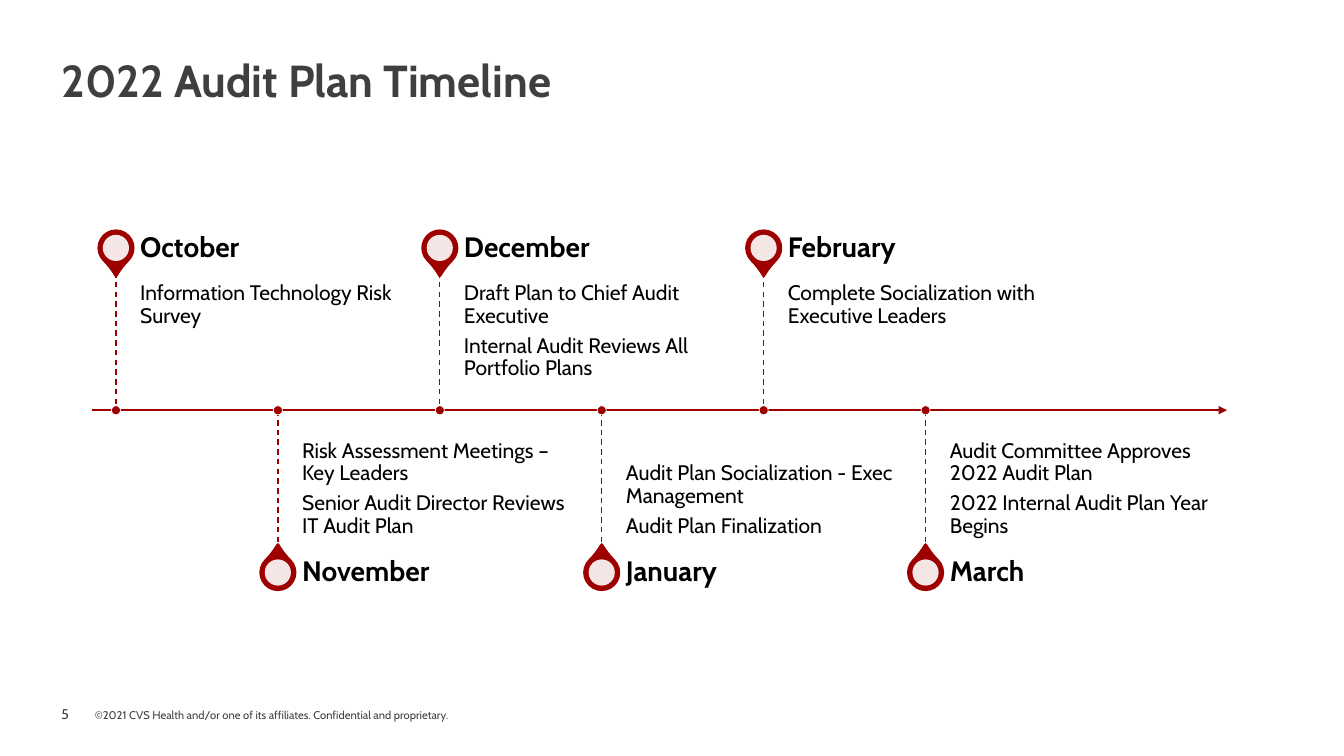
from dataclasses import dataclass

from lxml.etree import SubElement
from pptx import Presentation
from pptx.dml.color import RGBColor
from pptx.enum.dml import MSO_LINE
from pptx.enum.shapes import MSO_CONNECTOR, MSO_SHAPE
from pptx.enum.text import MSO_ANCHOR, MSO_AUTO_SIZE, PP_ALIGN
from pptx.oxml.ns import qn
from pptx.util import Inches, Pt

FONT = "Cabin"
RED, WHITE, BLACK, GREY = "9E0000", "FFFFFF", "000000", "3F3F3F"
AXIS_Y = 4.07
FIRST_X, LAST_X = 1.15, 9.18
PIN_OFFSET, STEM = 1.61, 1.37
BODY_W, HEAD_H = 2.68, 0.48


@dataclass
class Milestone:
    month: str
    steps: list[str]


MILESTONES = [
    Milestone("October", ["Information Technology Risk Survey"]),
    Milestone("November", ["Risk Assessment Meetings – Key Leaders",
                           "Senior Audit Director Reviews IT Audit Plan"]),
    Milestone("December", ["Draft Plan to Chief Audit Executive",
                           "Internal Audit Reviews All Portfolio Plans"]),
    Milestone("January", ["Audit Plan Socialization - Exec Management",
                          "Audit Plan Finalization"]),
    Milestone("February", ["Complete Socialization with Executive Leaders"]),
    Milestone("March", ["Audit Committee Approves 2022 Audit Plan",
                        "2022 Internal Audit Plan Year Begins"]),
]


def rgb(color: str) -> RGBColor:
    return RGBColor.from_string(color)


def fill_text(tf, lines: list[str], size: float, color: str, bold: bool = False,
              anchor=MSO_ANCHOR.TOP, insets=(0, 0, 0, 0),
              spacing: float = 1.0, after: float = 0) -> None:
    tf.word_wrap = True
    tf.auto_size = MSO_AUTO_SIZE.NONE
    tf.vertical_anchor = anchor
    tf.margin_left, tf.margin_top, tf.margin_right, tf.margin_bottom = map(Inches, insets)
    for i, line in enumerate(lines):
        p = tf.paragraphs[0] if i == 0 else tf.add_paragraph()
        p.text = line
        p.alignment = PP_ALIGN.LEFT
        p.line_spacing = spacing
        p.space_after = Pt(after)
        p.font.name = FONT
        p.font.size = Pt(size)
        p.font.bold = bold
        p.font.color.rgb = rgb(color)


def add_text(s, x: float, y: float, w: float, h: float, lines: list[str], size: float,
             color: str, **style) -> None:
    box = s.shapes.add_textbox(Inches(x), Inches(y), Inches(w), Inches(h))
    fill_text(box.text_frame, lines, size, color, **style)


def add_line(s, x1: float, y1: float, x2: float, y2: float, width: float,
             dashed: bool = False, arrow: bool = False) -> None:
    c = s.shapes.add_connector(MSO_CONNECTOR.STRAIGHT, Inches(x1), Inches(y1),
                               Inches(x2), Inches(y2))
    c.line.color.rgb = rgb(RED)
    c.line.width = Pt(width)
    if dashed:
        c.line.dash_style = MSO_LINE.DASH
    if arrow:
        SubElement(c.line._get_or_add_ln(), qn("a:tailEnd"), type="triangle")
    SubElement(c._element.spPr, qn("a:effectLst"))


def add_centred(s, kind, x: float, y: float, size: float, fill: str,
                line: str | None = None, width: float = 0):
    sp = s.shapes.add_shape(kind, Inches(x - size / 2), Inches(y - size / 2),
                            Inches(size), Inches(size))
    sp.shadow.inherit = False
    sp.fill.solid()
    sp.fill.fore_color.rgb = rgb(fill)
    if line:
        sp.line.color.rgb = rgb(line)
        sp.line.width = Pt(width)
    else:
        sp.line.fill.background()
    return sp


def add_milestone(s, m: Milestone, x: float, above: bool) -> None:
    side = -1 if above else 1
    pin_y = AXIS_Y + side * PIN_OFFSET
    stem_y = AXIS_Y + side * STEM
    text_x = x + 0.24

    pin = add_centred(s, MSO_SHAPE.TEAR, x, pin_y, 0.34, RED, RED, 2)
    pin.adjustments[0] = 1.15
    pin.rotation = 135 if above else 315
    hole = add_centred(s, MSO_SHAPE.OVAL, x, pin_y, 0.26, WHITE)
    color = hole.fill._xPr.find(qn("a:solidFill"))[0]
    SubElement(color, qn("a:alpha"), val="90000")

    add_text(s, text_x, min(stem_y, AXIS_Y), BODY_W, STEM, m.steps, 15, BLACK,
             anchor=MSO_ANCHOR.TOP if above else MSO_ANCHOR.BOTTOM,
             insets=(0, 0.1, 0.1, 0.16) if above else (0, 0.16, 0, 0.1),
             spacing=0.9, after=5.25)
    add_text(s, text_x, stem_y - HEAD_H if above else stem_y, BODY_W, HEAD_H, [m.month],
             20, BLACK, bold=True, anchor=MSO_ANCHOR.MIDDLE, insets=(0, 0, 0.14, 0),
             spacing=0.9, after=7)
    add_line(s, x, min(stem_y, AXIS_Y), x, max(stem_y, AXIS_Y), 1, dashed=True)
    add_centred(s, MSO_SHAPE.OVAL, x, AXIS_Y, 0.09, RED, WHITE, 0.5)


def main() -> None:
    prs = Presentation()
    prs.slide_width, prs.slide_height = Inches(13.33), Inches(7.5)
    s = prs.slides.add_slide(prs.slide_layouts[5])

    title = s.shapes.title
    title.left, title.top = Inches(0.61), Inches(0.58)
    title.width, title.height = Inches(10.57), Inches(0.78)
    fill_text(title.text_frame, ["2022 Audit Plan Timeline"], 32, GREY, bold=True, spacing=0.9)

    add_text(s, 0.61, 6.96, 0.39, 0.25, ["5"], 10, GREY, anchor=MSO_ANCHOR.MIDDLE,
             insets=(0, 0.05, 0, 0.05))
    add_text(s, 0.94, 7.03, 8.8, 0.13,
             ["©2021 CVS Health and/or one of its affiliates. Confidential and proprietary."],
             8, GREY, anchor=MSO_ANCHOR.BOTTOM)

    add_line(s, 0.91, AXIS_Y, 12.17, AXIS_Y, 1.5, arrow=True)
    step = (LAST_X - FIRST_X) / (len(MILESTONES) - 1)
    for i, m in enumerate(MILESTONES):
        add_milestone(s, m, FIRST_X + i * step, above=i % 2 == 0)

    prs.save("out.pptx")


if __name__ == "__main__":
    main()
